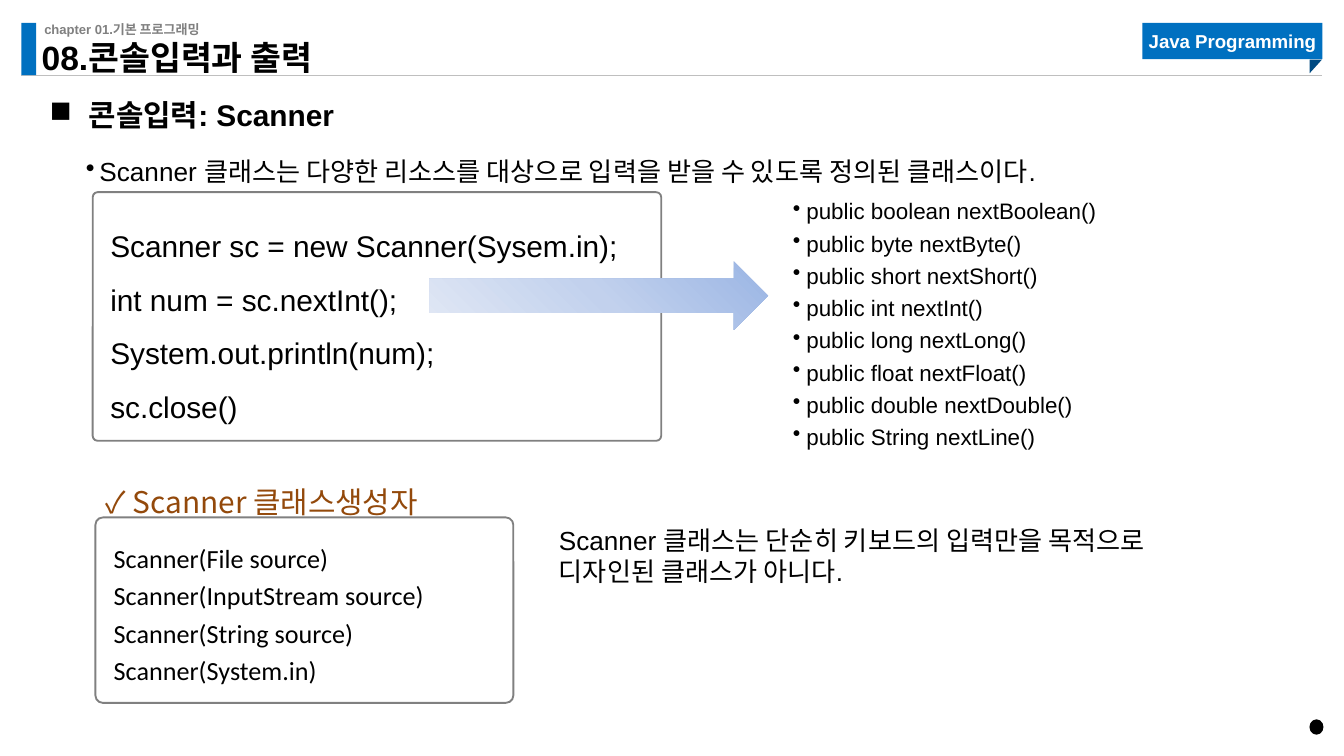
from copy import deepcopy
from lxml import etree
from pptx import Presentation
from pptx.dml.color import RGBColor
from pptx.enum.shapes import MSO_CONNECTOR, MSO_SHAPE
from pptx.enum.text import MSO_ANCHOR, MSO_AUTO_SIZE, PP_ALIGN
from pptx.oxml.ns import qn
from pptx.util import Inches, Pt

RECT, ROUND = MSO_SHAPE.RECTANGLE, MSO_SHAPE.ROUNDED_RECTANGLE
FOLD, ARROW, DOT = MSO_SHAPE.RIGHT_TRIANGLE, MSO_SHAPE.DOWN_ARROW, MSO_SHAPE.OVAL
TOP, MID, LOW = MSO_ANCHOR.TOP, MSO_ANCHOR.MIDDLE, MSO_ANCHOR.BOTTOM
LEFT, CENTER = PP_ALIGN.LEFT, PP_ALIGN.CENTER
FIXED = MSO_AUTO_SIZE.NONE

THEME = {
    "blue": "0070C0", "navy": "004A82", "gray": "808080", "rule": "BFBFBF",
    "black": "000000", "white": "FFFFFF", "brown": "93490B",
    "fade": ["9AB5E4", "C2D1ED", "E1E8F5"],
    "sans": "Arial", "code": "Calibri", "hangul": "Noto Sans CJK KR",
    "tiny": 7, "tag": 10, "list": 12, "text": 14, "head": 16, "title": 18,
}

deck = Presentation()
deck.slide_width, deck.slide_height = Inches(10), Inches(5.625)
slide = deck.slides.add_slide(deck.slide_layouts[6])
shapes = slide.shapes
CELL = deck.slide_width // 1000  # square grid, 1000 columns across


def draw(kind, spot, fill=None, line=None, width=1):
    """Place a preset shape on the grid."""
    shape = shapes.add_shape(kind, *[n * CELL for n in spot])
    shape.shadow.inherit = False
    for part, tone in ((shape.fill, fill), (shape.line.fill, line)):
        if tone:
            part.solid()
            part.fore_color.rgb = RGBColor.from_string(THEME[tone])
        else:
            part.background()
    if line:
        shape.line.width = Pt(width)
    return shape


def write(shape, lines, size, tone="black", face="sans", bold=False, pad=(0, 0, 0, 0),
          anchor=TOP, align=LEFT, space=1, mark=None, hang=(0, 0), wrap=True):
    """Fill a shape with lines; pad is left, top, right, bottom in cells."""
    frame = shape.text_frame
    sides = ("margin_left", "margin_top", "margin_right", "margin_bottom")
    look = {"word_wrap": wrap, "auto_size": FIXED, "vertical_anchor": anchor}
    look.update({side: n * CELL for side, n in zip(sides, pad)})
    for key, val in look.items():
        setattr(frame, key, val)
    form = {"size": Pt(THEME[size]), "name": THEME[face], "bold": bold}
    for i, line in enumerate(lines):
        para = frame.add_paragraph() if i else frame.paragraphs[0]
        para.text = line
        para.alignment, para.line_spacing = align, space
        if mark:
            props = para._p.get_or_add_pPr()
            props.set("marL", str(hang[0] * CELL))
            props.set("indent", str(-hang[1] * CELL))
            etree.SubElement(props, qn("a:buChar")).set("char", mark)
        for run in para.runs:
            for key, val in form.items():
                setattr(run.font, key, val)
            run.font.color.rgb = RGBColor.from_string(THEME[tone])
            asian = etree.SubElement(run._r.get_or_add_rPr(), qn("a:ea"))
            asian.set("typeface", THEME["hangul"])


# Header rule and bar
rule = shapes.add_connector(MSO_CONNECTOR.STRAIGHT, *[n * CELL for n in (16, 56, 984, 56)])
rule.line.color.rgb = RGBColor.from_string(THEME["rule"])
rule.line.width = Pt(0.5)
etree.SubElement(rule._element.spPr, qn("a:effectLst"))
draw(RECT, (16, 17, 11, 39), "blue")

# Course tag with folded corner
tag = draw(RECT, (850, 17, 134, 27), "blue")
write(tag, ["Java Programming"], "tag", "white", bold=True, anchor=MID, align=CENTER)
draw(FOLD, (974, 45, 10, 9), "navy").rotation = 90

# Code panel, arrow and constructor panel
code = draw(ROUND, (69, 143, 423, 185), line="gray")
code.adjustments[0] = 0.02
write(code, ["Scanner sc = new Scanner(Sysem.in);", "int num = sc.nextInt();",
             "System.out.println(num);", "sc.close()"],
      "head", pad=(12,) * 4, space=1.5)

arrow = draw(ARROW, (420, 94, 51, 252))
arrow.rotation = 270
arrow.fill.gradient()
arrow.fill.gradient_angle = 135
stops = arrow.fill._xPr.find(qn("a:gradFill")).find(qn("a:gsLst"))
stops.insert(1, deepcopy(stops[0]))
for i, stop in enumerate(arrow.fill.gradient_stops):
    stop.position = i / 2
    stop.color.rgb = RGBColor.from_string(THEME["fade"][i])

maker = draw(ROUND, (71, 385, 311, 138), line="gray")
maker.adjustments[0] = 0.04
write(maker, [f"Scanner({kind})" for kind in
              ("File source", "InputStream source", "String source", "System.in")],
      "text", face="code", pad=(12,) * 4, space=1.2)

# Free text: place, lines, format
types = ("boolean nextBoolean", "byte nextByte", "short nextShort", "int nextInt",
         "long nextLong", "float nextFloat", "double nextDouble", "String nextLine")
point = {"mark": "•", "hang": (40, 10)}
inset = (10, 5, 10, 5)
texts = [
    ((33, 16, 323, 12), ["chapter 01.기본 프로그래밍"],
     {"size": "tiny", "tone": "gray", "bold": True}),
    ((31, 35, 330, 23), ["08.콘솔입력과 출력"],
     {"size": "title", "bold": True, "anchor": LOW, "space": 0.9}),
    ((37, 59, 954, 33), ["콘솔입력: Scanner"],
     {"size": "head", "bold": True, "space": 1.5, "mark": "■", "hang": (29, 29)}),
    ((34, 99, 936, 47),
     ["Scanner 클래스는 다양한 리소스를 대상으로 입력을 받을 수 있도록 정의된 클래스이다."],
     {"size": "text", "space": 1.5, "pad": (0, 5, 10, 5), **point}),
    ((69, 346, 547, 55), ["✓ Scanner 클래스생성자"],
     {"size": "head", "tone": "brown", "face": "hangul", "anchor": MID, "pad": inset}),
    ((406, 385, 498, 57),
     ["Scanner 클래스는 단순히 키보드의 입력만을 목적으로\n디자인된 클래스가 아니다."],
     {"size": "text", "pad": inset, "wrap": False}),
    ((560, 143, 289, 195), [f"public {name}()" for name in types],
     {"size": "list", "space": 1.2, **point}),
]
for spot, lines, form in texts:
    write(shapes.add_textbox(*[n * CELL for n in spot]), lines, **form)

# Corner dot
draw(DOT, (975, 536, 9, 10), "black", "black")

deck.save("out.pptx")
